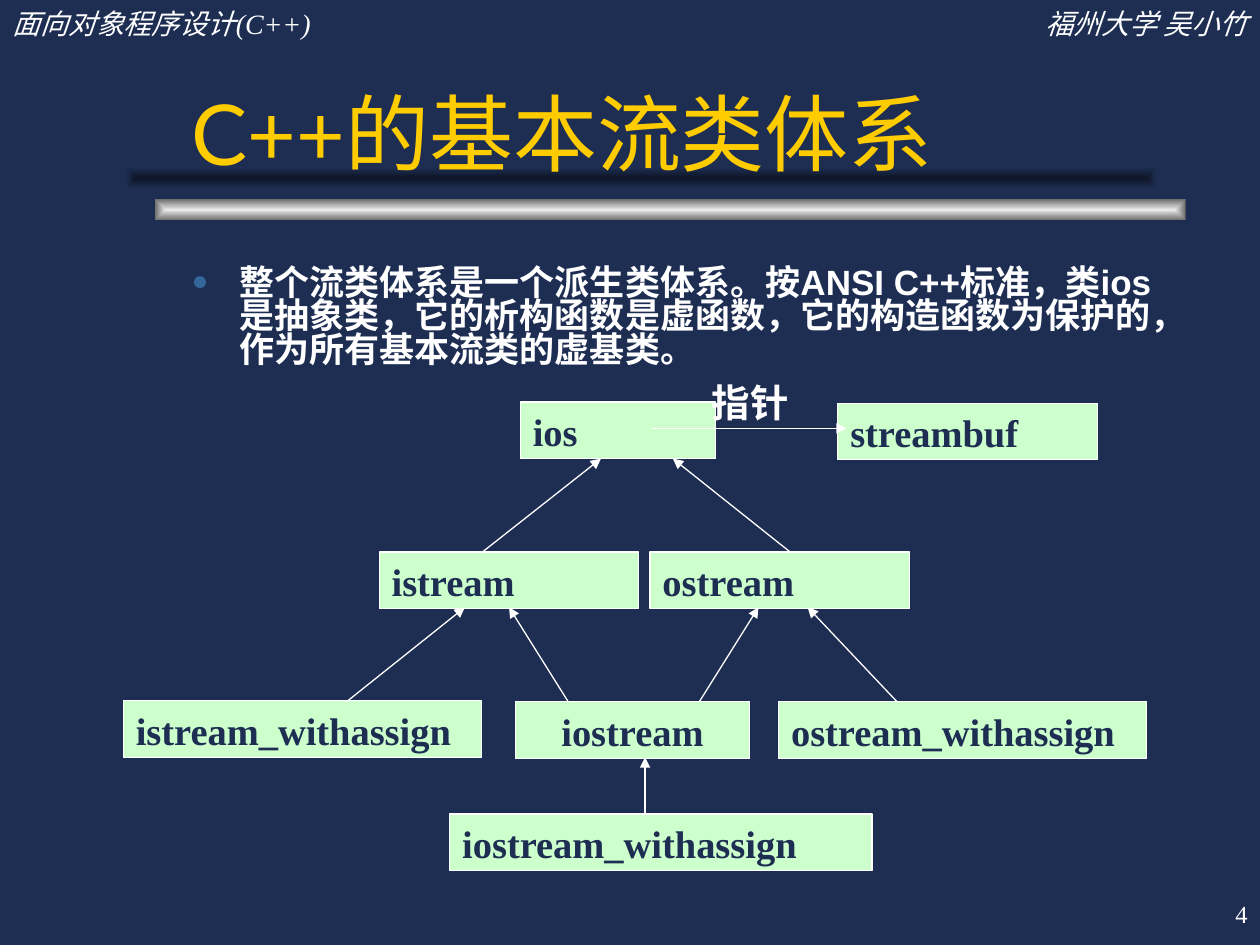
import pptx
import pptx.util
import pptx.dml.color
import pptx.enum.shapes
import pptx.enum.text
import pptx.oxml
import pptx.oxml.ns
from pptx.util import Inches

ALIGN = pptx.enum.text.PP_ALIGN
ANCHOR = pptx.enum.text.MSO_ANCHOR
RECT = pptx.enum.shapes.MSO_SHAPE.RECTANGLE
NAVY, WHITE, GOLD, MINT, BLUE = "1E2E53", "FFFFFF", "FFCC00", "CCFFCC", "336699"
SERIF = "Times New Roman"


def rgb(value):
    return pptx.dml.color.RGBColor.from_string(value)


def xml(text):
    ns = pptx.oxml.ns.nsdecls("a")
    return pptx.oxml.parse_xml(text.replace(">", f" {ns}>", 1) if "/>" not in text
                               else text.replace("/>", f" {ns}/>", 1))


def place(shape, box):
    shape.left, shape.top, shape.width, shape.height = [Inches(v) for v in box]


def set_frame(shape, anchor=ANCHOR.TOP):
    tf = shape.text_frame
    tf.word_wrap = True
    tf.auto_size = pptx.enum.text.MSO_AUTO_SIZE.NONE
    tf.vertical_anchor = anchor
    return tf


def add_run(p, text, size, color, font=SERIF, bold=False, italic=False):
    r = p.add_run()
    r.text = text
    r.font.size = pptx.util.Pt(size)
    r.font.name = font
    r.font.bold = bold
    r.font.italic = italic
    r.font.color.rgb = rgb(color)


def add_label(s, box, text, size, align, anchor=ANCHOR.TOP, space_before=0, **style):
    sp = s.shapes.add_textbox(*[Inches(v) for v in box])
    p = set_frame(sp, anchor).paragraphs[0]
    p.alignment = align
    p.space_before = pptx.util.Pt(space_before)
    add_run(p, text, size, WHITE, **style)


def add_bar(s, box, inner, outer):
    """Bar shaded from its edges to its centre."""
    sp = s.shapes.add_shape(RECT, *[Inches(v) for v in box])
    sp.shadow.inherit = False
    sp.line.fill.background()
    sp.fill.gradient()
    for stop, color, position in zip(sp.fill.gradient_stops, (inner, outer), (0, 1)):
        stop.color.rgb = rgb(color)
        stop.position = position
    lin = sp._element.spPr.find(".//" + pptx.oxml.ns.qn("a:lin"))
    path = xml('<a:path path="rect"/>')
    path.append(xml('<a:fillToRect l="50000" t="50000" r="50000" b="50000"/>'))
    lin.getparent().replace(lin, path)


def add_header(s, box):
    left, top, width, height = box
    half = 3.08
    add_label(s, (left, top, half, height), "面向对象程序设计(C++)", 16, ALIGN.LEFT,
              space_before=10, italic=True)
    add_label(s, (left + width - half, top, half, height), "福州大学 吴小竹", 16,
              ALIGN.RIGHT, space_before=10, italic=True)


def add_title(s, box):
    sp = s.shapes.title
    place(sp, box)
    p = set_frame(sp, ANCHOR.BOTTOM).paragraphs[0]
    p.alignment = ALIGN.LEFT
    add_run(p, "C++", 48, GOLD, "Lato")
    add_run(p, "的基本流类体系", 48, GOLD)


def add_body(s, box):
    sp = s.placeholders[1]
    place(sp, box)
    p = set_frame(sp).paragraphs[0]
    p.alignment = ALIGN.LEFT
    p.line_spacing = 0.8
    p.space_before = pptx.util.Pt(5)
    pPr = p._p.get_or_add_pPr()
    pPr.set("marL", str(Inches(0.38)))
    pPr.set("indent", str(-Inches(0.38)))
    color = xml("<a:buClr/>")
    color.append(xml(f'<a:srgbClr val="{BLUE}"/>'))
    pPr.append(color)
    pPr.append(xml('<a:buSzPct val="80000"/>'))
    pPr.append(xml('<a:buChar char="●"/>'))
    add_run(p, "整个流类体系是一个派生类体系。按ANSI C++标准，类ios是抽象类，它的析构函数是虚函数，"
            "它的构造函数为保护的，作为所有基本流类的虚基类。", 20, WHITE, "Arial", bold=True)


def add_class(s, box, name, align):
    sp = s.shapes.add_shape(RECT, *[Inches(v) for v in box])
    sp.shadow.inherit = False
    sp.fill.solid()
    sp.fill.fore_color.rgb = rgb(MINT)
    sp.line.color.rgb = rgb(WHITE)
    sp.line.width = pptx.util.Pt(0.75)
    p = set_frame(sp).paragraphs[0]
    p.alignment = align
    add_run(p, name, 22, NAVY, bold=True)


def add_arrow(s, *ends):
    line = s.shapes.add_connector(pptx.enum.shapes.MSO_CONNECTOR.STRAIGHT,
                                  *[Inches(v) for v in ends])
    line.line.color.rgb = rgb(WHITE)
    line.line.width = pptx.util.Pt(0.75)
    line.line._get_or_add_ln().append(xml('<a:tailEnd type="triangle"/>'))
    line._element.spPr.append(xml("<a:effectLst/>"))


def add_hierarchy(s, box):
    """Class tree; parts are given relative to the box corner."""
    x, y, _, _ = box
    # Classes: name, left, top, width
    classes = [
        ("ios", 3.15, 0.23, 1.55), ("streambuf", 5.67, 0.24, 2.06),
        ("istream", 2.03, 1.42, 2.06), ("ostream", 4.18, 1.42, 2.06),
        ("istream_withassign", 0, 2.6, 2.84), ("iostream", 3.11, 2.61, 1.86),
        ("ostream_withassign", 5.2, 2.61, 2.92), ("iostream_withassign", 2.59, 3.5, 3.35),
    ]
    for name, left, top, width in classes:
        align = ALIGN.CENTER if name == "iostream" else ALIGN.JUSTIFY
        add_class(s, (x + left, y + top, width, 0.45), name, align)

    # Pointer from ios to streambuf
    add_arrow(s, x + 4.19, y + 0.44, x + 5.74, y + 0.44)
    add_label(s, (x + 4.57, y, 1.29, 0.45), "指针", 22, ALIGN.JUSTIFY, bold=True)

    # Inheritance arrows: derived top, base bottom, and their x positions
    levels = [
        (1.42, 0.68, [(2.85, 3.79), (5.29, 4.36)]),
        (2.61, 1.86, [(1.77, 2.71), (3.53, 3.06), (4.57, 5.04), (6.14, 5.43)]),
        (3.5, 3.05, [(4.14, 4.14)]),
    ]
    for start, end, spans in levels:
        for x1, x2 in spans:
            add_arrow(s, x + x1, y + start, x + x2, y + end)


def main():
    prs = pptx.Presentation()
    prs.slide_width, prs.slide_height = Inches(10), Inches(7.5)
    s = prs.slides.add_slide(prs.slide_layouts[1])
    s.background.fill.solid()
    s.background.fill.fore_color.rgb = rgb(NAVY)

    # Rules under the title
    add_bar(s, (1.23, 1.58, 8.18, 0.17), "EAEAEA", "6B6B6B")
    add_bar(s, (1, 1.33, 8.18, 0.17), "0D1526", NAVY)
    # Text regions, in front of the rules
    for sp in list(s.placeholders):
        s.shapes._spTree.append(sp._element)
    add_header(s, (0, 0, 10, 0.37))
    add_title(s, (1.42, 0.25, 7.83, 1.25))
    add_body(s, (1.42, 2.08, 7.92, 1.27))
    # Diagram and page number
    add_hierarchy(s, (0.98, 2.96, 8.12, 3.95))
    add_label(s, (7.92, 7, 2.08, 0.5), "4", 14, ALIGN.RIGHT, ANCHOR.MIDDLE)
    prs.save("out.pptx")


if __name__ == "__main__":
    main()
